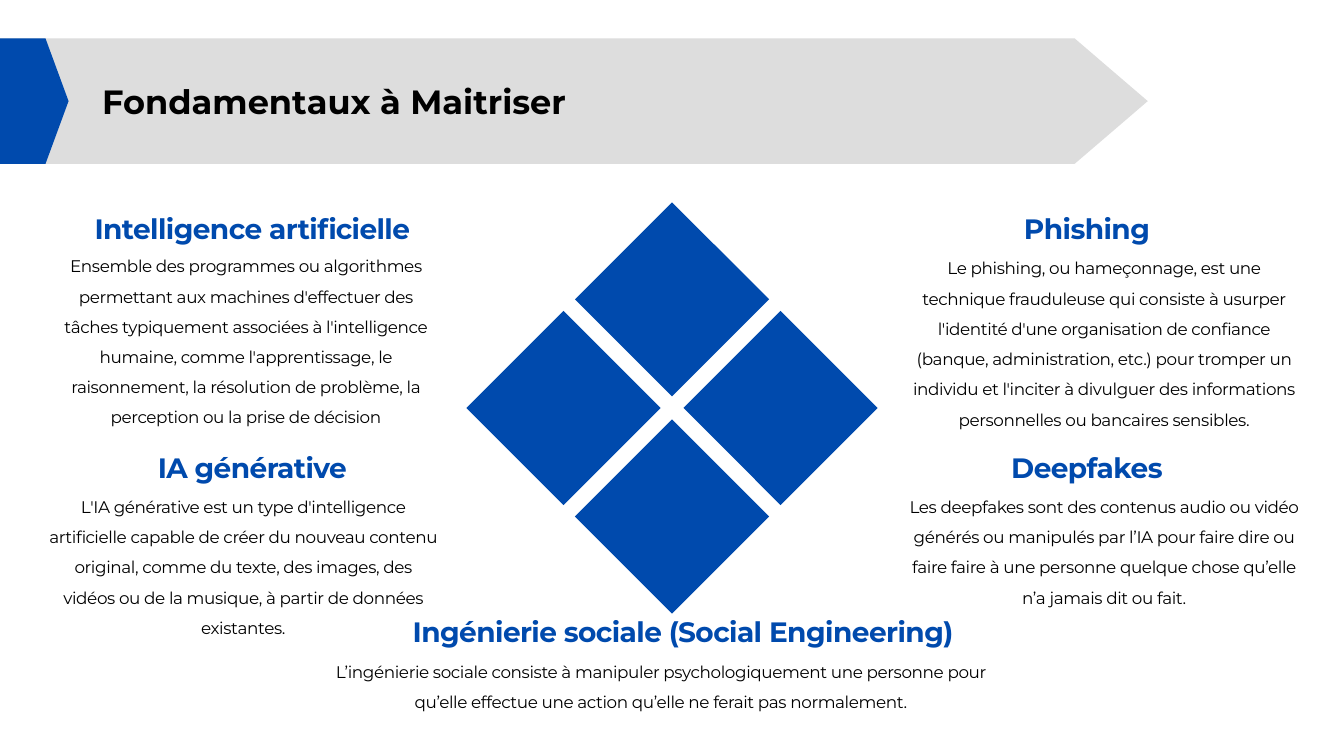
from pptx import Presentation
from pptx.dml.color import RGBColor
from pptx.enum.shapes import MSO_SHAPE
from pptx.enum.text import MSO_ANCHOR, MSO_AUTO_SIZE, PP_ALIGN
from pptx.util import Inches, Pt

ARROW, DIAMOND = MSO_SHAPE.PENTAGON, MSO_SHAPE.DIAMOND
LEFT, CENTER = PP_ALIGN.LEFT, PP_ALIGN.CENTER
FONT, BLUE, GREY, BLACK = "Montserrat", "004AAD", "DDDDDD", "000000"

TITLE = "Fondamentaux à Maitriser"

# heading, its box, text, its box; boxes are left, top, width, height
TOPICS = [
    ("Intelligence artificielle", (1.06, 3.15, 5.39, 0.5),
     "Ensemble des programmes ou algorithmes permettant aux machines "
     "d'effectuer des tâches typiquement associées à l'intelligence humaine, "
     "comme l'apprentissage, le raisonnement, la résolution de problème, la "
     "perception ou la prise de décision", (0.76, 3.66, 5.8, 2.64)),
    ("IA générative", (1.06, 6.7, 5.39, 0.5),
     "L'IA générative est un type d'intelligence artificielle capable de "
     "créer du nouveau contenu original, comme du texte, des images, des "
     "vidéos ou de la musique, à partir de données existantes.",
     (0.72, 7.24, 5.8, 2.2)),
    ("Phishing", (13.48, 3.15, 5.39, 0.5),
     "Le phishing, ou hameçonnage, est une technique frauduleuse qui consiste "
     "à usurper l'identité d'une organisation de confiance (banque, "
     "administration, etc.) pour tromper un individu et l'inciter à divulguer "
     "des informations personnelles ou bancaires sensibles.",
     (13.48, 3.69, 5.9, 2.65)),
    ("Deepfakes", (13.48, 6.7, 5.39, 0.5),
     "Les deepfakes sont des contenus audio ou vidéo générés ou manipulés par "
     "l’IA pour faire dire ou faire faire à une personne quelque chose "
     "qu’elle n’a jamais dit ou fait.", (13.48, 7.24, 5.9, 1.76)),
    ("Ingénierie sociale (Social Engineering)", (5.82, 9.15, 8.69, 0.5),
     "L’ingénierie sociale consiste à manipuler psychologiquement une "
     "personne pour qu’elle effectue une action qu’elle ne ferait pas "
     "normalement.", (4.76, 9.7, 10.15, 0.86)),
]

# left, top, width, height, tip length, colour
BANNER = [(0, 0.57, 17.08, 1.87, 1.09, GREY),
          (0, 0.57, 1.02, 1.87, 0.63, BLUE)]

MID_X, MID_Y = 10, 6.07
SIDE, STEP = 2.89, 1.615
WAYS = [(-1, 0), (0, -1), (1, 0), (0, 1)]


def rgb(code):
    return RGBColor.from_string(code)


def add_flat(slide, kind, box, fill):
    """Add a preset shape with a plain fill and no outline or shadow."""
    shape = slide.shapes.add_shape(kind, *map(Inches, box))
    shape.shadow.inherit = False
    shape.fill.solid()
    shape.fill.fore_color.rgb = rgb(fill)
    shape.line.fill.background()
    return shape


def write(shape, text, size, color, bold, lead, align=CENTER, track=0):
    """Fill a text shape; lead is line height and track letter gap, in points."""
    frame = shape.text_frame
    frame.word_wrap = True
    frame.auto_size = MSO_AUTO_SIZE.NONE
    frame.vertical_anchor = MSO_ANCHOR.TOP
    frame.margin_left = frame.margin_right = 0
    frame.margin_top = frame.margin_bottom = 0
    para = frame.paragraphs[0]
    para.alignment = align
    para.line_spacing = Pt(lead)
    para.space_before = Pt(0)
    run = para.add_run()
    run.text = text
    run.font.name = FONT
    run.font.size = Pt(size)
    run.font.bold = bold
    run.font.color.rgb = rgb(color)
    if track:
        run.font._element.set("spc", str(round(track * 100)))


def add_title(slide):
    title = slide.shapes.title
    title.left, title.top = Inches(1.52), Inches(1.21)
    title.width, title.height = Inches(14.77), Inches(0.59)
    write(title, TITLE, 36, BLACK, True, 43.2, LEFT)
    # bring the title in front of the banner
    slide.shapes.element.append(title.element)


def main():
    prs = Presentation()
    prs.slide_width, prs.slide_height = Inches(20), Inches(11.25)
    slide = prs.slides.add_slide(prs.slide_layouts[5])

    for dx, dy in WAYS:
        left = MID_X + dx * STEP - SIDE / 2
        top = MID_Y + dy * STEP - SIDE / 2
        add_flat(slide, DIAMOND, (left, top, SIDE, SIDE), BLUE)

    for *box, tip, fill in BANNER:
        arrow = add_flat(slide, ARROW, box, fill)
        arrow.adjustments[0] = tip / box[3]

    add_title(slide)
    for head, head_box, text, text_box in TOPICS:
        box = slide.shapes.add_textbox(*map(Inches, head_box))
        write(box, head, 30, BLUE, True, 36, track=-0.6)
        box = slide.shapes.add_textbox(*map(Inches, text_box))
        write(box, text, 18, BLACK, False, 32.4, track=-0.4)

    prs.save("out.pptx")


if __name__ == "__main__":
    main()
